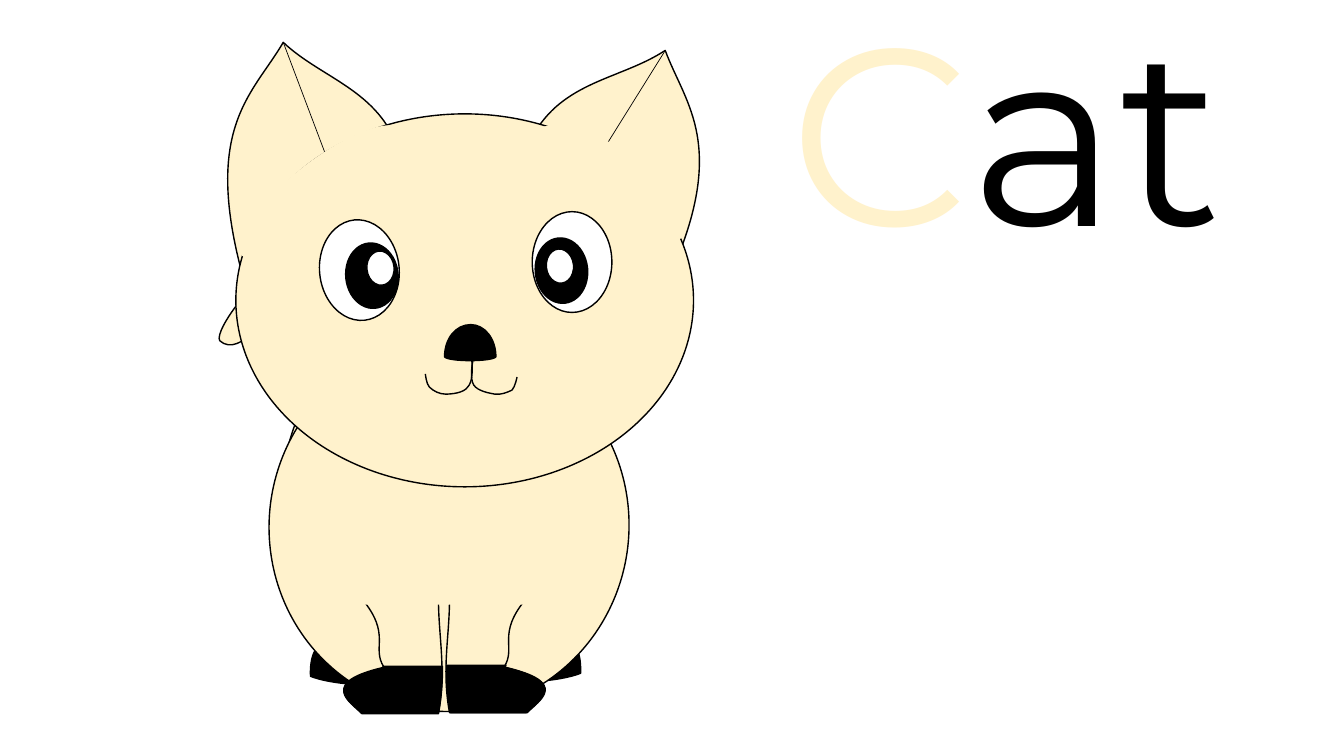
import pptx
import pptx.util
import pptx.dml.color
import pptx.enum.shapes
import pptx.enum.text
import lxml.etree
import pptx.oxml.ns

# Theme: colours, type and line widths
Rgb = pptx.dml.color.RGBColor
theme = {
    "cream": Rgb(0xFF, 0xF2, 0xCC),
    "black": Rgb(0, 0, 0),
    "white": Rgb(255, 255, 255),
    "font": "Montserrat",
    "size": pptx.util.Pt(180),
    "thin": pptx.util.Pt(0.5),
    "pen": pptx.util.Pt(1),
}
Kind = pptx.enum.shapes.MSO_SHAPE
tag = pptx.oxml.ns.qn
INCH = 2.54  # the drawing below is measured in inches


def cm(num):
    return pptx.util.Cm(num * INCH)


def flip(steps, axis, drop=0):
    """Mirror an outline left to right, axis being the sum of both sides."""
    return [tuple(axis - v if i % 2 == 0 else v + drop for i, v in enumerate(step))
            for step in steps]


deck = pptx.Presentation()
deck.slide_width, deck.slide_height = cm(13.333), cm(7.5)
slide = deck.slides.add_slide(deck.slide_layouts[5])

# Title
title = slide.shapes.title
title.left, title.top, title.width, title.height = cm(7.73), cm(-0.3), cm(12.03), cm(3.13)
frame = title.text_frame
frame.word_wrap = True
frame.auto_size = pptx.enum.text.MSO_AUTO_SIZE.SHAPE_TO_FIT_TEXT
frame.vertical_anchor = pptx.enum.text.MSO_ANCHOR.TOP
para = frame.paragraphs[0]
para.alignment = pptx.enum.text.PP_ALIGN.LEFT
for text, tone in (("C", "cream"), ("at", "black")):
    run = para.add_run()
    run.text = text
    run.font.name = theme["font"]
    run.font.size = theme["size"]
    run.font.color.rgb = theme[tone]

# Outlines: a start point, then lines (two numbers) or curves (six)
thigh = [(4.18, 5.87), (4.19, 5.19, 4.8, 5.03, 4.96, 5.11), (5.12, 5.19, 5.71, 5.95, 5.14, 6.36),
         (5.16, 6.49, 5.78, 6.01, 5.75, 6.66), (5.58, 6.73, 5.06, 6.8, 4.8, 6.67),
         (4.54, 6.54, 4.18, 6.55, 4.18, 5.87)]
heel = [(5.53, 6.33), (5.42, 6.34, 5.29, 6.39, 5.22, 6.4), (4.75, 6.66), (4.82, 6.69),
        (5.08, 6.82, 5.59, 6.75, 5.76, 6.68), (5.77, 6.4, 5.66, 6.33, 5.53, 6.33)]
tail = [(2.18, 3.38), (2.12, 3.28, 2.56, 2.68, 2.8, 2.67), (3.04, 2.65, 3.36, 2.59, 3.62, 3.29),
        (3.01, 6.03, 4.29, 5.43, 4.42, 5.98), (4.11, 6.06, 3.54, 6.19, 2.92, 5.3),
        (2.58, 4.39, 3.18, 4.01, 3.2, 3.23), (3.09, 3.06, 3.04, 2.99, 2.86, 3.02),
        (2.69, 3.05, 2.39, 3.57, 2.18, 3.38)]
ear_left = [(2.38, 2.63), (2.03, 1.24, 2.52, 0.92, 2.81, 0.42),
            (3.19, 0.78, 3.76, 0.89, 3.96, 1.5)]
ear_right = [(6.64, 2.75), (7.23, 1.44, 6.8, 1.04, 6.6, 0.5),
             (6.16, 0.79, 5.58, 0.8, 5.28, 1.36)]
leg = [(4.35, 5.94), (3.59, 5.94), (3.89, 6.3, 3.68, 6.42, 3.81, 6.62),
       (3.16, 6.77, 3.47, 6.96, 3.59, 7.07), (4.35, 7.07),
       (4.43, 6.64, 4.35, 6.32, 4.35, 5.94)]
paw = [(3.8, 6.61), (4.39, 6.61), (4.39, 6.63), (4.39, 6.77, 4.38, 6.92, 4.35, 7.08),
       (3.59, 7.08), (3.47, 6.96, 3.16, 6.78, 3.81, 6.63)]
nose = [(4.92, 3.54), (4.92, 3.36, 4.81, 3.22, 4.67, 3.22), (4.52, 3.22, 4.41, 3.36, 4.41, 3.54),
        (4.45, 3.59, 4.88, 3.59, 4.92, 3.54)]
lip_right = [(4.7, 3.53), (4.68, 3.64, 4.66, 3.75, 4.7, 3.82), (4.74, 3.88, 4.85, 3.9, 4.91, 3.91),
             (4.97, 3.92, 5.04, 3.89, 5.08, 3.87), (5.11, 3.84, 5.13, 3.74, 5.13, 3.74)]
lip_left = [(4.68, 3.56), (4.69, 3.67, 4.69, 3.79, 4.64, 3.84), (4.6, 3.9, 4.48, 3.91, 4.42, 3.91),
            (4.36, 3.91, 4.3, 3.88, 4.26, 3.84), (4.23, 3.81, 4.22, 3.71, 4.22, 3.71)]

# Cat from back to front: (kind, data, fill, line); ovals are left, top, width, height, turn
parts = [
    # Hind legs, tail and body
    ("free", thigh, "cream", "pen"),
    ("free", heel, "black", "pen"),
    ("free", flip(thigh, 8.85, 0.04), "cream", "pen"),
    ("free", flip(heel, 8.84, 0.03), "black", "pen"),
    ("free", tail, "cream", "pen"),
    ("oval", (2.67, 3.38, 3.57, 3.68, 6.4), "cream", "pen"),
    # Ears and head
    ("free", ear_left, "cream", "pen"),
    ("free", ear_right, "cream", "pen"),
    ("line", (2.81, 0.42, 3.38, 1.93), None, "thin"),
    ("line", (6.6, 0.5, 5.59, 2.12), None, "thin"),
    ("oval", (2.34, 1.13, 4.54, 3.7, 0), "cream", "pen"),
    # Eyes, with the left front leg between
    ("oval", (5.28, 2.1, 0.79, 1, 0), "white", "pen"),
    ("oval", (3.17, 2.18, 0.79, 1, 354.3), "white", "pen"),
    ("free", leg, "cream", "pen"),
    ("oval", (3.43, 2.41, 0.52, 0.65, 354.3), "black", "pen"),
    ("oval", (5.31, 2.36, 0.52, 0.65, 354.3), "black", "pen"),
    ("oval", (5.42, 2.47, 0.27, 0.34, 354.3), "white", "pen"),
    ("oval", (3.64, 2.49, 0.27, 0.34, 354.3), "white", "pen"),
    # Nose and mouth
    ("free", nose, "black", "pen"),
    ("free", lip_right, None, "pen"),
    ("free", lip_left, None, "pen"),
    # Plain patches that blend the ears into the head
    ("oval", (2.19, 1.59, 2.03, 0.65, 322.2), "cream", None),
    ("oval", (5.17, 1.43, 1.65, 0.65, 211.3), "cream", None),
    ("oval", (5.25, 1.7, 1.65, 0.43, 211.3), "cream", None),
    # Front legs and paws
    ("free", flip(leg, 8.81), "cream", "pen"),
    ("rect", (3.45, 4.94, 1.86, 1.06, 0), "cream", None),
    ("free", paw, "black", "pen"),
    ("free", flip(paw, 8.82, -0.01), "black", "pen"),
]

cat = slide.shapes.add_group_shape().shapes
for kind, data, fill, line in parts:
    if kind == "line":
        shape = cat.add_connector(pptx.enum.shapes.MSO_CONNECTOR.STRAIGHT, *map(cm, data))
        lxml.etree.SubElement(shape.element.spPr, tag("a:effectLst"))
    elif kind == "free":
        dots = [(cm(step[-2]), cm(step[-1])) for step in data]
        pen = cat.build_freeform(*dots[0])
        pen.add_line_segments(dots[1:], close=fill is not None)
        shape = pen.convert_to_shape()
        # Bend the lines that have control points into curves
        left, top = min(x for x, y in dots), min(y for x, y in dots)
        for edge, step in zip(list(shape.element.iter(tag("a:lnTo"))), data[1:]):
            if len(step) == 6:
                curve = lxml.etree.Element(tag("a:cubicBezTo"))
                for x, y in zip(step[::2], step[1::2]):
                    lxml.etree.SubElement(curve, tag("a:pt"),
                                          x=str(cm(x) - left), y=str(cm(y) - top))
                edge.getparent().replace(edge, curve)
    else:
        form = Kind.OVAL if kind == "oval" else Kind.RECTANGLE
        shape = cat.add_shape(form, *map(cm, data[:4]))
        shape.rotation = data[4]
    if kind != "line":
        shape.shadow.inherit = False
        if fill:
            shape.fill.solid()
            shape.fill.fore_color.rgb = theme[fill]
        else:
            shape.fill.background()
    if line:
        shape.line.color.rgb = theme["black"]
        shape.line.width = theme[line]
    else:
        shape.line.fill.background()

deck.save("out.pptx")
